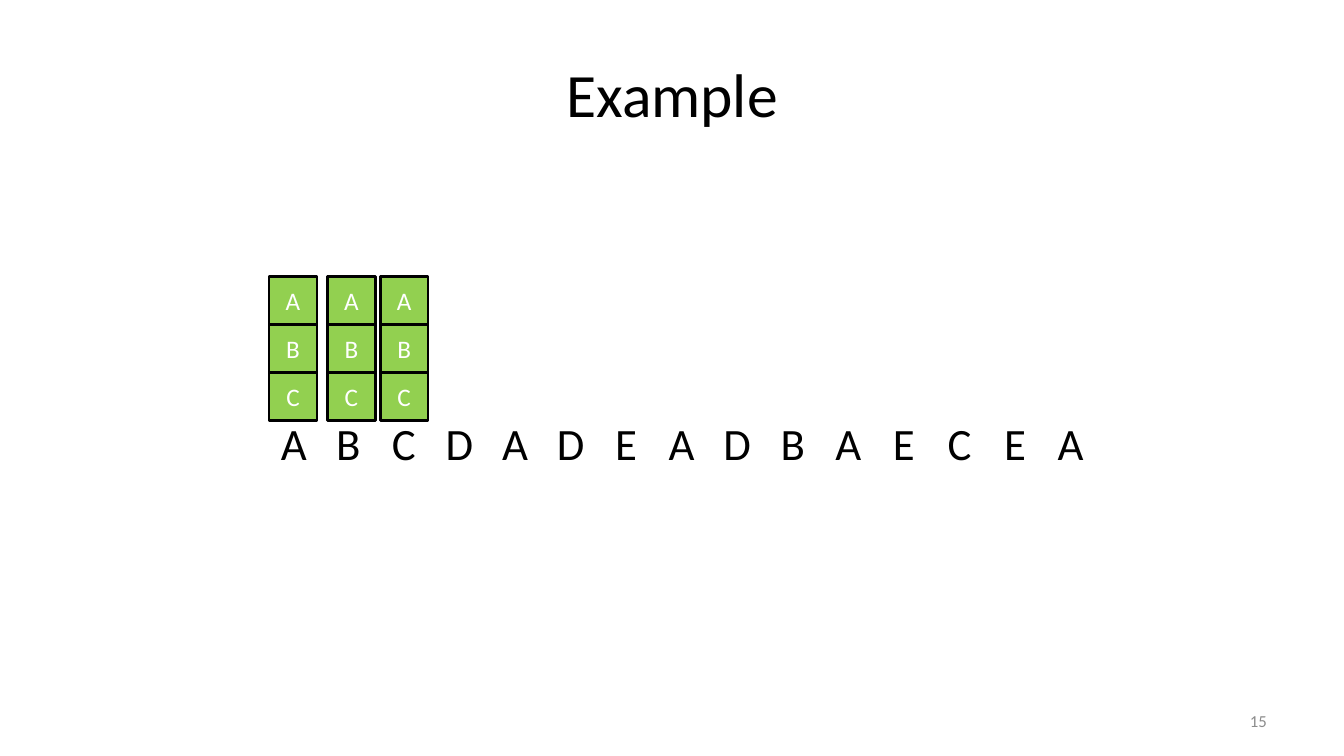
from lxml import etree
from pptx import Presentation
from pptx.dml.color import RGBColor
from pptx.enum.shapes import MSO_SHAPE
from pptx.enum.text import MSO_ANCHOR, PP_ALIGN
from pptx.oxml.ns import qn
from pptx.util import Cm, Pt

RECT = MSO_SHAPE.RECTANGLE
TOP, MIDDLE = MSO_ANCHOR.TOP, MSO_ANCHOR.MIDDLE
LEFT, CENTER, RIGHT = PP_ALIGN.LEFT, PP_ALIGN.CENTER, PP_ALIGN.RIGHT

COLORS = {"black": "000000", "white": "FFFFFF", "grey": "8C8C8C", "green": "92D050"}


class Deck:
    font = "Calibri"

    def __init__(self, prs):
        self.slide = prs.slides.add_slide(prs.slide_layouts[6])

    def color(self, name):
        return RGBColor.from_string(COLORS[name])

    def set_text(self, sp, text, size, color, align, anchor, stops=()):
        tf = sp.text_frame
        tf.word_wrap = True
        tf.vertical_anchor = anchor
        tf.text = text
        p = tf.paragraphs[0]
        p.alignment = align
        if stops:
            tabs = etree.SubElement(p._p.get_or_add_pPr(), qn("a:tabLst"))
            for stop in stops:
                etree.SubElement(tabs, qn("a:tab"), pos=str(Cm(stop)), algn="ctr")
        for r in p.runs:
            r.font.name = self.font
            r.font.size = Pt(size)
            r.font.color.rgb = self.color(color)

    def text(self, x, y, w, h, text, size, color="black", align=LEFT,
             anchor=MIDDLE, stops=()):
        sp = self.slide.shapes.add_textbox(Cm(x), Cm(y), Cm(w), Cm(h))
        self.set_text(sp, text, size, color, align, anchor, stops)

    def stack(self, x, y, side, labels):
        group = self.slide.shapes.add_group_shape()
        for i, label in enumerate(labels):
            sp = group.shapes.add_shape(RECT, Cm(x), Cm(y + i * side), Cm(side), Cm(side))
            sp.shadow.inherit = False
            sp.fill.solid()
            sp.fill.fore_color.rgb = self.color("green")
            sp.line.color.rgb = self.color("black")
            sp.line.width = Pt(2)
            self.set_text(sp, label, 18, "white", CENTER, MIDDLE)


def main():
    prs = Presentation()
    prs.slide_width, prs.slide_height = Cm(33.87), Cm(19.05)
    deck = Deck(prs)

    # Title and page number
    deck.text(1.7, 0.76, 30.48, 3.18, "Example", 44, align=CENTER)
    deck.text(24.28, 17.65, 7.9, 1.02, "15", 12, "grey", RIGHT)

    # Reference sequence, letters centred on even tab stops
    sequence = "ABCDADEADBAECEA"
    stops = [0.3 + 1.4 * i for i in range(1, len(sequence))]
    deck.text(6.83, 10.36, 20.9, 1.63, "\t".join(sequence), 32, anchor=TOP, stops=stops)

    # Memory contents above the first three references
    for x in (9.58, 8.25, 6.78):
        deck.stack(x, 6.96, 1.21, "ABC")

    prs.save("out.pptx")


if __name__ == "__main__":
    main()
